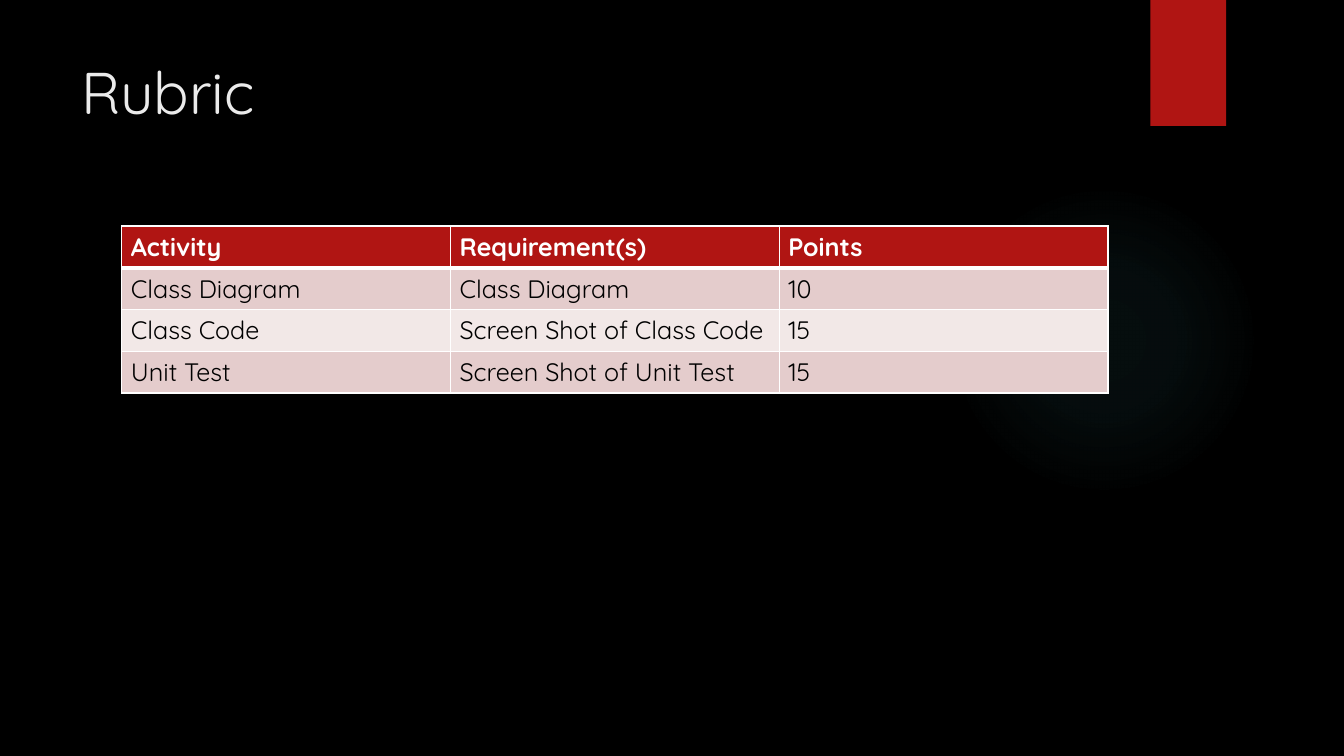
from lxml import etree
from pptx import Presentation
from pptx.dml.color import RGBColor
from pptx.enum.shapes import MSO_SHAPE
from pptx.enum.text import MSO_ANCHOR, MSO_AUTO_SIZE, PP_ALIGN
from pptx.oxml.ns import qn
from pptx.util import Pt

OVAL = MSO_SHAPE.OVAL
RECTANGLE = MSO_SHAPE.RECTANGLE
TOP = MSO_ANCHOR.TOP
LEFT = PP_ALIGN.LEFT
NO_AUTOFIT = MSO_AUTO_SIZE.NONE

FONT = "Quicksand"
RED, TEAL, WHITE, BLACK = "B01513", "50B9C1", "FFFFFF", "000000"
BANDS = ["E4CCCC", "F2E8E7"]
TITLE_FONT = {"name": FONT, "size": Pt(42), "bold": False}
HEADER_FONT = {"name": FONT, "size": Pt(18), "bold": True}
BODY_FONT = {"name": FONT, "size": Pt(18), "bold": False}
RUBRIC = [
    ["Activity", "Requirement(s)", "Points"],
    ["Class Diagram", "Class Diagram", "10"],
    ["Class Code", "Screen Shot of Class Code", "15"],
    ["Unit Test", "Screen Shot of Unit Test", "15"],
]
COLUMN_WIDTH, ROW_HEIGHT = 234.8, 29.8


def set_values(target, values):
    """Set each named attribute of the target."""
    for name, value in values.items():
        setattr(target, name, value)


def paint(fill, color):
    """Give a fill one solid colour."""
    fill.solid()
    fill.fore_color.rgb = RGBColor.from_string(color)


def add_node(parent, tag, **attributes):
    """Append a drawing element with the given attributes."""
    values = {name: str(value) for name, value in attributes.items()}
    return etree.SubElement(parent, qn(f"a:{tag}"), values)


def add_color(parent, color, percent=100):
    """Append a colour with its opacity in percent."""
    node = add_node(parent, "srgbClr", val=color)
    if percent < 100:
        add_node(node, "alpha", val=percent * 1000)


def write(frame, text, font, color):
    """Put one left-aligned span of text into a frame."""
    para = frame.paragraphs[0]
    para.alignment = LEFT
    span = para.add_run()
    span.text = text
    set_values(span.font, font)
    span.font.color.rgb = RGBColor.from_string(color)


def add_plain_shape(page, kind, left, top, width, height, color):
    """Add a flat preset shape without an outline."""
    shape = page.shapes.add_shape(kind, Pt(left), Pt(top), Pt(width), Pt(height))
    shape.shadow.inherit = False
    shape.line.fill.background()
    paint(shape.fill, color)
    return shape


def add_glow(page):
    """Add the faint radial glow on the right."""
    glow = add_plain_shape(page, OVAL, 677.5, 131.8, 221.8, 221.8, TEAL)
    solid = glow._element.spPr.find(qn("a:solidFill"))
    gradient = etree.Element(qn("a:gradFill"))
    stops = add_node(gradient, "gsLst")
    for position, percent in [(0, 7), (36, 6), (69, 0)]:
        add_color(add_node(stops, "gs", pos=position * 1000), TEAL, percent)
    circle = add_node(gradient, "path", path="circle")
    add_node(circle, "fillToRect", l=50000, t=50000, r=50000, b=50000)
    solid.getparent().replace(solid, gradient)


def add_ribbon(page):
    """Add the red ribbon with its soft shadow."""
    ribbon = add_plain_shape(page, RECTANGLE, 821.8, 0, 54, 90, RED)
    effects = ribbon._element.spPr.find(qn("a:effectLst"))
    shadow = add_node(effects, "outerShdw", blurRad=Pt(3), dist=Pt(2),
                      dir=90 * 60000, rotWithShape=0)
    add_color(shadow, BLACK, 45)


def format_title(page, text):
    """Place and fill the title."""
    title = page.shapes.title
    set_values(title, {"left": Pt(51), "top": Pt(36),
                       "width": Pt(741), "height": Pt(110)})
    set_values(title.text_frame, {"vertical_anchor": TOP, "word_wrap": True,
                                  "auto_size": NO_AUTOFIT})
    write(title.text_frame, text, TITLE_FONT, "EBEBEB")


def add_borders(cell, top, bottom):
    """Draw white borders around a cell."""
    properties = cell._tc.get_or_add_tcPr()
    for side, width in {"L": 1, "R": 1, "T": top, "B": bottom}.items():
        line = add_node(properties, f"ln{side}", w=Pt(width))
        add_color(add_node(line, "solidFill"), WHITE)


def format_cell(cell, text, row):
    """Fill one cell of the rubric according to its row."""
    header = row == 0
    add_borders(cell, top=3 if row == 1 else 1, bottom=3 if header else 1)
    paint(cell.fill, RED if header else BANDS[(row - 1) % 2])
    set_values(cell, {"margin_left": Pt(6.5), "margin_right": Pt(6.5),
                      "margin_top": Pt(3.6), "margin_bottom": Pt(3.6)})
    write(cell.text_frame, text, HEADER_FONT if header else BODY_FONT,
          WHITE if header else BLACK)


def add_rubric(page):
    """Add the table of activities, requirements and points."""
    rows, columns = len(RUBRIC), len(RUBRIC[0])
    table = page.shapes.add_table(
        rows, columns, Pt(87), Pt(161.5),
        Pt(columns * COLUMN_WIDTH), Pt(rows * ROW_HEIGHT)).table
    for column in table.columns:
        column.width = Pt(COLUMN_WIDTH)
    for index, texts in enumerate(RUBRIC):
        table.rows[index].height = Pt(ROW_HEIGHT)
        for cell, text in zip(table.rows[index].cells, texts):
            format_cell(cell, text, index)


def main():
    """Build the rubric slide and save it."""
    deck = Presentation()
    set_values(deck, {"slide_width": Pt(960), "slide_height": Pt(540)})
    page = deck.slides.add_slide(deck.slide_layouts.get_by_name("Title Only"))
    paint(page.background.fill, BLACK)
    add_glow(page)
    add_ribbon(page)
    format_title(page, "Rubric")
    add_rubric(page)
    deck.save("out.pptx")


if __name__ == "__main__":
    main()
